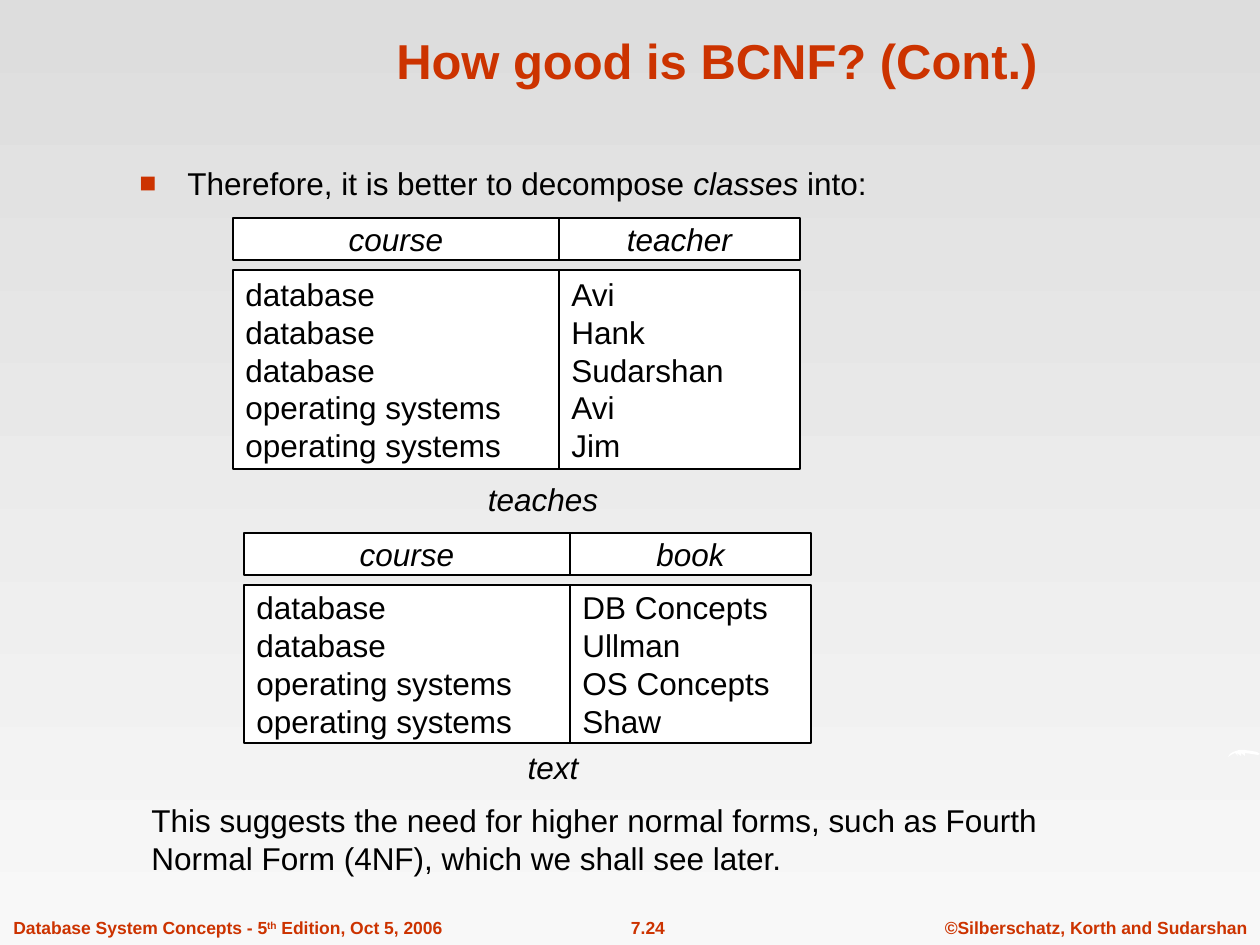
"""Build the slide on decomposing a relation beyond BCNF."""
from lxml.etree import SubElement
from pptx import Presentation
from pptx.dml.color import RGBColor
from pptx.enum.shapes import MSO_SHAPE as SHAPE
from pptx.enum.text import MSO_ANCHOR as ANCHOR, MSO_AUTO_SIZE as AUTO, PP_ALIGN as ALIGN
from pptx.oxml.ns import qn
from pptx.util import Emu, Pt

PX = 914400 / 126
COLORS = {"accent": "CC3300", "text": "000000", "paper": "FFFFFF",
          "sky": "DDDDDD", "ground": "F8F8F8"}
FONT = "Arial"

TITLE = "How good is BCNF? (Cont.)"
LEAD = [("Therefore, it is better to decompose ", ""), ("classes ", "italic"), ("into:", "")]
CLOSING = ("This suggests the need for higher normal forms, such as Fourth "
           "Normal Form (4NF), which we shall see later.")
RELATIONS = [
    {"corner": (233, 218), "body_height": 199,
     "columns": [("course", ["database"] * 3 + ["operating systems"] * 2),
                 ("teacher", ["Avi", "Hank", "Sudarshan", "Avi", "Jim"])],
     "caption": ("teaches", (463, 474, 160, 50))},
    {"corner": (244, 533), "body_height": 158,
     "columns": [("course", ["database"] * 2 + ["operating systems"] * 2),
                 ("book", ["DB Concepts", "Ullman", "OS Concepts", "Shaw"])],
     "caption": ("text", (503, 742, 100, 50))},
]
COLUMN_WIDTHS = (326, 241)
HEADER_HEIGHT, HEADER_GAP = 42, 10
FOOTER = [
    ([("©Silberschatz, Korth and Sudarshan", "")], 932, 328, ALIGN.CENTER),
    ([("7.24", "")], 586, 124, ALIGN.CENTER),
    ([("Database System Concepts - 5", ""), ("th", "super"), (" Edition, Oct 5, 2006", "")],
     1, 454, ALIGN.LEFT),
]
FOOTER_TOP, FOOTER_HEIGHT = 911, 34
SWOOSH = [(1228, 757), (1230, 754), (1233, 752), (1239, 750), (1245, 750), (1252, 751),
          (1257, 752), (1260, 754), (1258, 755), (1252, 754), (1245, 753), (1245, 756),
          (1241, 753), (1241, 756), (1237, 753), (1238, 756), (1235, 753), (1231, 755)]


def px(length):
    return Emu(round(length * PX))


def rgb(name):
    return RGBColor.from_string(COLORS[name])


def write(holder, lines, size=18, color="text", bold=False, italic=False,
          align=ALIGN.LEFT, anchor=ANCHOR.TOP, wrap=True):
    frame = holder.text_frame
    frame.word_wrap = wrap
    frame.auto_size = AUTO.NONE if wrap else AUTO.SHAPE_TO_FIT_TEXT
    frame.vertical_anchor = anchor
    frame.text = "\n" * (len(lines) - 1)
    for paragraph, line in zip(frame.paragraphs, lines):
        paragraph.alignment = align
        for words, style in [(line, "")] if isinstance(line, str) else line:
            run = paragraph.add_run()
            run.text = words
            font = run.font
            font.name, font.size, font.bold = FONT, Pt(size), bold
            font.italic = italic or style == "italic"
            font.color.rgb = rgb(color)
            if style == "super":
                run._r.get_or_add_rPr().set("baseline", "30000")
    return holder


def add_text(slide, box, lines, **style):
    return write(slide.shapes.add_textbox(*map(px, box)), lines, **style)


def add_cell(slide, box, lines, **style):
    cell = slide.shapes.add_shape(SHAPE.RECTANGLE, *map(px, box))
    cell.shadow.inherit = False
    cell.fill.solid()
    cell.fill.fore_color.rgb = rgb("paper")
    cell.line.color.rgb = rgb("text")
    cell.line.width = Pt(0.75)
    write(cell, lines, anchor=ANCHOR.MIDDLE, **style)


def add_relation(slide, relation):
    left, top = relation["corner"]
    body_top = top + HEADER_HEIGHT + HEADER_GAP
    for (heading, values), width in zip(relation["columns"], COLUMN_WIDTHS):
        add_cell(slide, (left, top, width, HEADER_HEIGHT), [heading],
                 italic=True, align=ALIGN.CENTER)
        add_cell(slide, (left, body_top, width, relation["body_height"]), values)
        left += width
    caption, box = relation["caption"]
    add_text(slide, box, [caption], italic=True, align=ALIGN.CENTER,
             anchor=ANCHOR.MIDDLE, wrap=False)


def add_bullet(paragraph):
    props = paragraph._p.get_or_add_pPr()
    props.set("marL", str(px(48)))
    props.set("indent", str(-px(48)))
    SubElement(SubElement(props, qn("a:buClr")), qn("a:srgbClr"), val=COLORS["accent"])
    SubElement(props, qn("a:buSzPct"), val="90000")
    SubElement(props, qn("a:buFont"), typeface=FONT)
    SubElement(props, qn("a:buChar"), char="■")


def add_swoosh(slide):
    builder = slide.shapes.build_freeform(*SWOOSH[0], scale=PX)
    builder.add_line_segments(SWOOSH[1:], close=True)
    swoosh = builder.convert_to_shape()
    swoosh.shadow.inherit = False
    swoosh.fill.solid()
    swoosh.fill.fore_color.rgb = rgb("paper")
    swoosh.line.fill.background()


def paint_background(slide):
    fill = slide.background.fill
    fill.gradient()
    fill.gradient_angle = 270
    for stop, name, position in zip(fill.gradient_stops, ("sky", "ground"), (0, 1)):
        stop.color.rgb = rgb(name)
        stop.position = position


def main():
    deck = Presentation()
    deck.slide_width, deck.slide_height = px(1260), px(945)
    slide = deck.slides.add_slide(deck.slide_layouts[6])
    paint_background(slide)
    for runs, left, width, align in FOOTER:
        add_text(slide, (left, FOOTER_TOP, width, FOOTER_HEIGHT), [runs],
                 size=10, color="accent", bold=True, align=align, wrap=False)
    add_swoosh(slide)
    lead = add_text(slide, (127, 158, 926, 73), [LEAD])
    add_bullet(lead.text_frame.paragraphs[0])
    for relation in RELATIONS:
        add_relation(slide, relation)
    add_text(slide, (139, 795, 926, 73), [CLOSING])
    add_text(slide, (226, 16, 982, 79), [TITLE], size=28, color="accent", bold=True,
             align=ALIGN.CENTER, anchor=ANCHOR.BOTTOM)
    deck.save("out.pptx")


if __name__ == "__main__":
    main()
